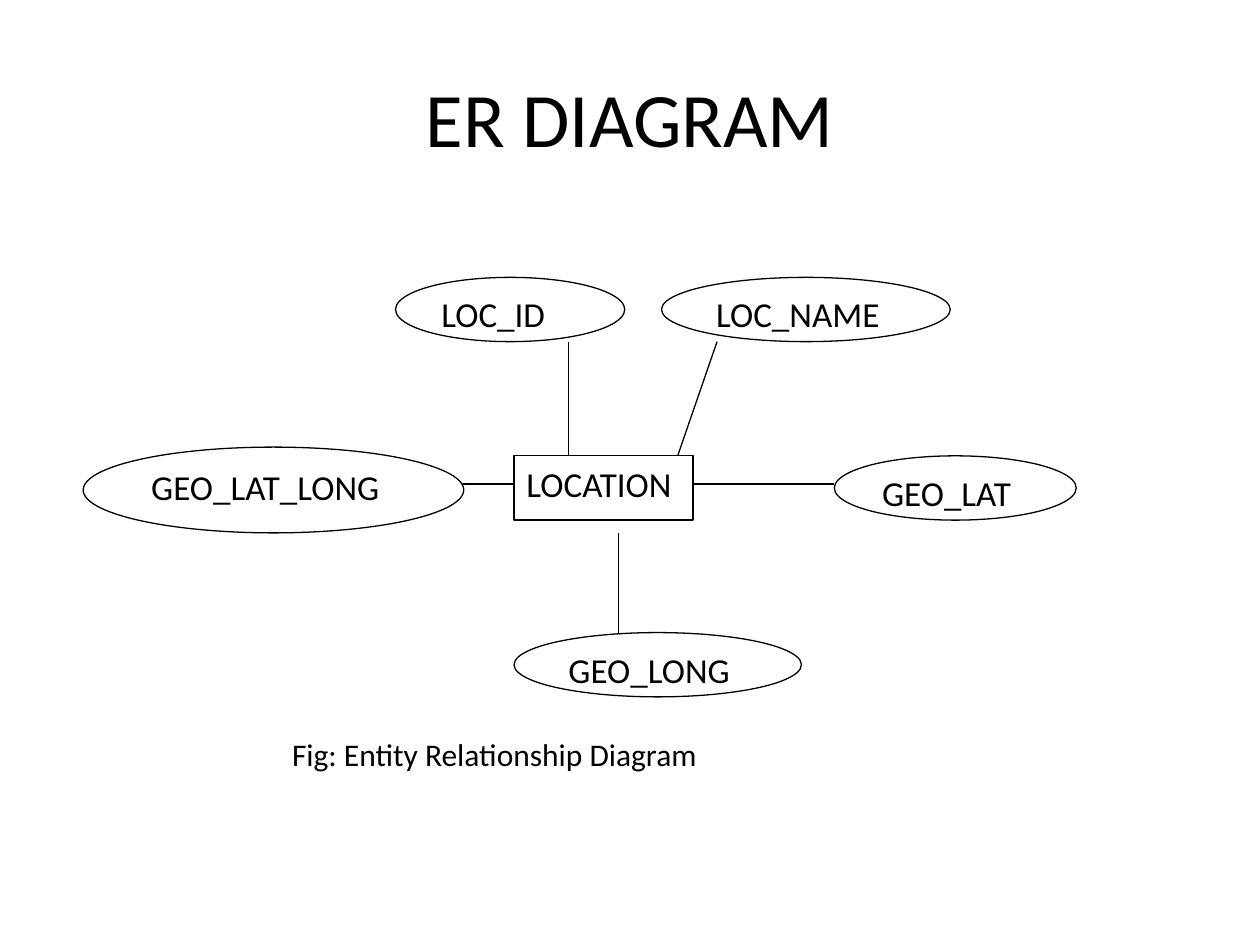
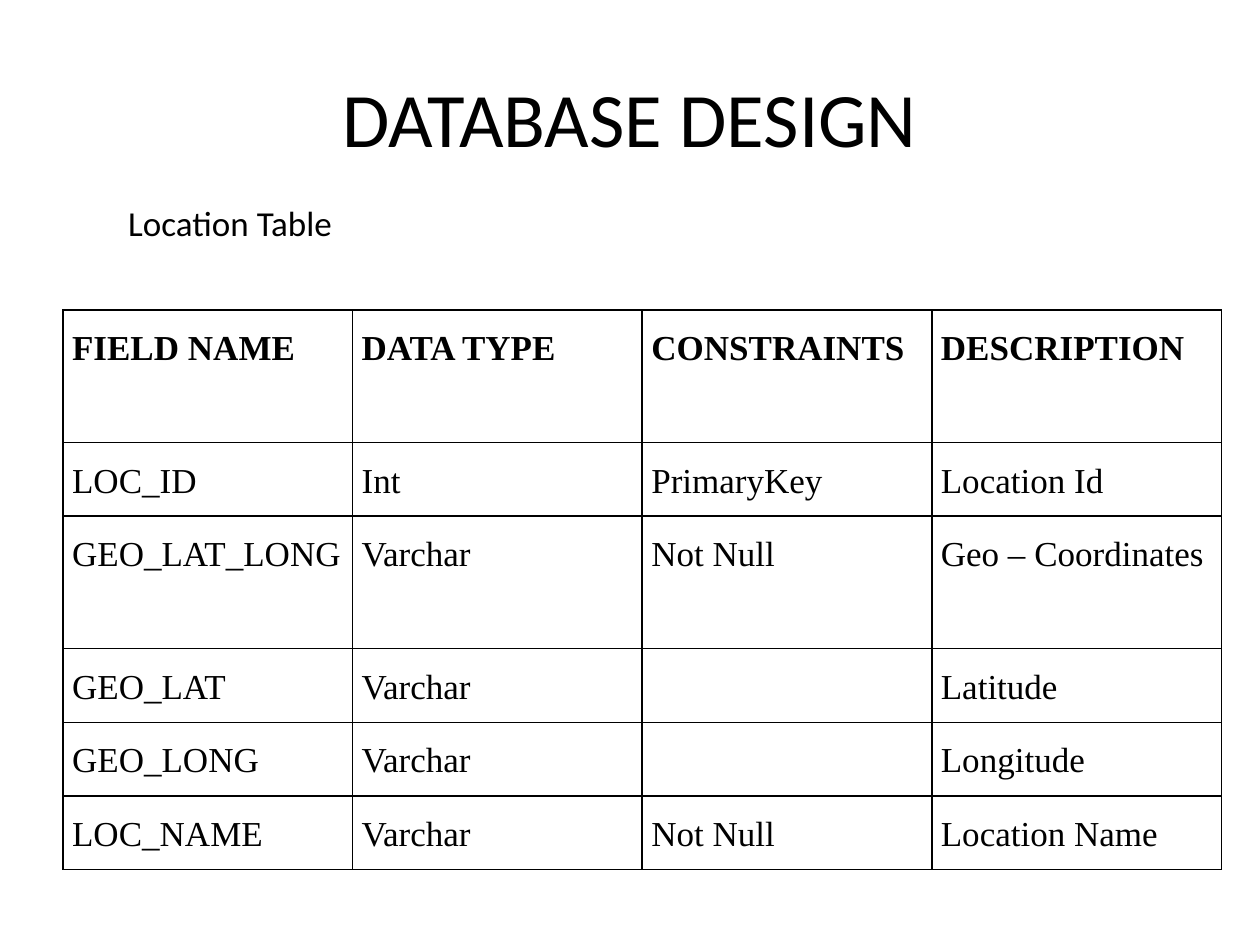
from lxml import etree
from pptx import Presentation
from pptx.dml.color import RGBColor
from pptx.enum.shapes import MSO_CONNECTOR, MSO_SHAPE
from pptx.enum.text import MSO_ANCHOR, MSO_AUTO_SIZE, PP_ALIGN
from pptx.oxml.ns import qn
from pptx.util import Pt

BLACK = RGBColor(0, 0, 0)
WHITE = RGBColor(255, 255, 255)
BODY_FONT = "Calibri"
TABLE_FONT = "Times New Roman"
TITLE_BOX = (36, 21.6, 648, 90)
RECTANGLE, OVAL = MSO_SHAPE.RECTANGLE, MSO_SHAPE.OVAL
STRAIGHT = MSO_CONNECTOR.STRAIGHT
TOP, MIDDLE = MSO_ANCHOR.TOP, MSO_ANCHOR.MIDDLE
LEFT, CENTER = PP_ALIGN.LEFT, PP_ALIGN.CENTER
FIT_SHAPE = MSO_AUTO_SIZE.SHAPE_TO_FIT_TEXT
TITLE_ONLY = 5

NODE_HEIGHT = 36.75
ENTITY_TOP = 102
LINK_Y = 118
LONGITUDE_TOP = 203
ENTITY = ("LOCATION", 246.25, ENTITY_TOP, 102.25, NODE_HEIGHT)
ATTRIBUTES = [
    ("LOC_ID", 178.5, 0, 131, NODE_HEIGHT),
    ("LOC_NAME", 330.5, 0, 165, NODE_HEIGHT),
    ("GEO_LAT", 429.25, ENTITY_TOP, 138.25, NODE_HEIGHT),
    ("GEO_LONG", 246.25, LONGITUDE_TOP, 164.25, NODE_HEIGHT),
    ("GEO_LAT_LONG", 0, 97, 217.5, 49),
]
LINKS = [
    (246.25, LINK_Y, 173.5, LINK_Y),
    (348.5, LINK_Y, 429.25, LINK_Y),
    (277.25, ENTITY_TOP, 277.25, NODE_HEIGHT),
    (339.75, ENTITY_TOP, 362.25, NODE_HEIGHT),
    (306, LONGITUDE_TOP, 306, 146),
]
FIELDS = [
    ("FIELD NAME", "DATA TYPE", "CONSTRAINTS", "DESCRIPTION"),
    ("LOC_ID", "Int", "PrimaryKey", "Location Id"),
    ("GEO_LAT_LONG", "Varchar", "Not Null", "Geo – Coordinates"),
    ("GEO_LAT", "Varchar", "", "Latitude"),
    ("GEO_LONG", "Varchar", "", "Longitude"),
    ("LOC_NAME", "Varchar", "Not Null", "Location Name"),
]
SHORT_ROW, TALL_ROW = 42.15, 75.7
ROW_HEIGHTS = [TALL_ROW, SHORT_ROW, TALL_ROW] + [SHORT_ROW] * 3


def points(*values):
    return [Pt(value) for value in values]


def add_text(frame, text, size, font=BODY_FONT, bold=False, align=LEFT):
    paragraph = frame.paragraphs[0]
    paragraph.alignment = align
    run = paragraph.add_run()
    run.text = text
    run.font.size = Pt(size)
    run.font.name = font
    run.font.bold = bold
    run.font.color.rgb = BLACK
    return paragraph


def add_titled_slide(presentation, text):
    slide = presentation.slides.add_slide(presentation.slide_layouts[TITLE_ONLY])
    title = slide.shapes.title
    title.left, title.top, title.width, title.height = points(*TITLE_BOX)
    title.text_frame.vertical_anchor = MIDDLE
    add_text(title.text_frame, text, 44, align=CENTER)
    return slide


def add_label(slide, box, text, size):
    frame = slide.shapes.add_textbox(*points(*box)).text_frame
    frame.word_wrap = True
    frame.auto_size = FIT_SHAPE
    add_text(frame, text, size)


def add_link(slide, ends):
    link = slide.shapes.add_connector(STRAIGHT, *points(*ends))
    link.line.color.rgb = BLACK
    link.line.width = Pt(0.75)
    etree.SubElement(link.element.spPr, qn("a:effectLst"))


def add_node(slide, kind, box, text):
    shape = slide.shapes.add_shape(kind, *points(*box))
    shape.shadow.inherit = False
    shape.fill.solid()
    shape.fill.fore_color.rgb = WHITE
    shape.line.color.rgb = BLACK
    shape.line.width = Pt(0.75)
    frame = shape.text_frame
    frame.word_wrap = True
    frame.vertical_anchor = TOP
    add_text(frame, text, 20).space_after = Pt(10)


def add_entity_diagram(slide, left, top):
    for x1, y1, x2, y2 in LINKS:
        add_link(slide, (left + x1, top + y1, left + x2, top + y2))
    nodes = [(RECTANGLE, ENTITY)] + [(OVAL, node) for node in ATTRIBUTES]
    for kind, (name, x, y, width, height) in nodes:
        add_node(slide, kind, (left + x, top + y, width, height), name)


def add_borders(cell):
    properties = cell._tc.get_or_add_tcPr()
    for index, side in enumerate(("lnL", "lnR", "lnT", "lnB")):
        border = etree.Element(qn(f"a:{side}"), w=str(Pt(1)))
        fill = etree.SubElement(border, qn("a:solidFill"))
        etree.SubElement(fill, qn("a:srgbClr"), val=str(BLACK))
        properties.insert(index, border)


def add_field_table(slide, left, top, width):
    box = points(left, top, width, sum(ROW_HEIGHTS))
    table = slide.shapes.add_table(len(FIELDS), len(FIELDS[0]), *box).table
    for column in table.columns:
        column.width = Pt(width / len(FIELDS[0]))
    for row, height in zip(table.rows, ROW_HEIGHTS):
        row.height = Pt(height)
    for row_index, values in enumerate(FIELDS):
        for column_index, value in enumerate(values):
            cell = table.cell(row_index, column_index)
            cell.fill.background()
            add_borders(cell)
            cell.margin_left = cell.margin_right = Pt(5.2)
            cell.margin_top = cell.margin_bottom = Pt(0)
            if value:
                paragraph = add_text(cell.text_frame, value, 20, TABLE_FONT, row_index == 0)
                paragraph.line_spacing = 1.5


def build_diagram_slide(presentation):
    slide = add_titled_slide(presentation, "ER DIAGRAM")
    add_entity_diagram(slide, 47.5, 158.5)
    add_label(slide, (159.8, 416.2, 250.6, 29), "Fig: Entity Relationship Diagram", 18)


def build_table_slide(presentation):
    slide = add_titled_slide(presentation, "DATABASE DESIGN")
    add_label(slide, (66.2, 111.6, 582.5, 31.5), "Location Table", 20)
    add_field_table(slide, 36, 177.1, 662)


presentation = Presentation()
presentation.slide_width, presentation.slide_height = points(720, 540)
build_diagram_slide(presentation)
build_table_slide(presentation)
presentation.save("out.pptx")
